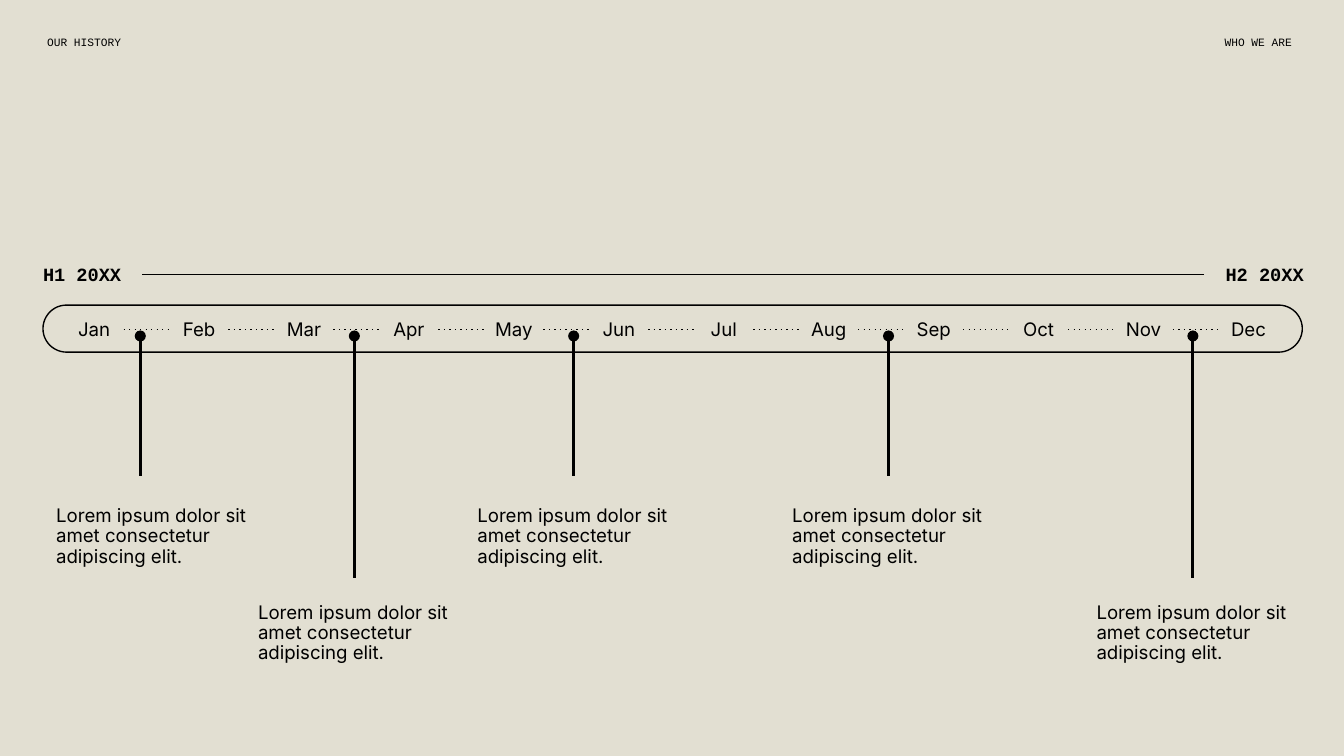
import collections

import pptx
import pptx.dml.color
import pptx.enum.shapes
import pptx.enum.text
import pptx.oxml
import pptx.oxml.ns
import pptx.util

INK = pptx.dml.color.RGBColor(0x00, 0x00, 0x00)
PAPER = pptx.dml.color.RGBColor(0xE2, 0xDF, 0xD2)

ALIGN = pptx.enum.text.PP_ALIGN
ANCHOR = pptx.enum.text.MSO_ANCHOR

MONO = {"name": "Courier New", "size": pptx.util.Pt(6), "bold": False}
HALF_YEAR = {"name": "Courier New", "size": pptx.util.Pt(10), "bold": True}
BODY = {"name": "Inter", "size": pptx.util.Pt(10), "bold": False}

SLIDE_WIDTH = 10
SLIDE_HEIGHT = SLIDE_WIDTH * 9 / 16
MONTHS = "Jan Feb Mar Apr May Jun Jul Aug Sep Oct Nov Dec".split()
BLURB = "Lorem ipsum dolor sit amet consectetur adipiscing elit."
# Each milestone: its place in month columns, and its row (0 upper, 1 lower).
MILESTONES = [(0.94, 0), (2.98, 1), (5.07, 0), (8.07, 0), (10.97, 1)]

Box = collections.namedtuple("Box", "left top width height")


def emu(lengths):
    return [pptx.util.Inches(length) for length in lengths]


def write(holder, text, font, align=ALIGN.LEFT, anchor=ANCHOR.MIDDLE,
          inset=0.1, spacing=1.0):
    """Fill a text holder with one formatted paragraph."""
    frame = holder.text_frame
    margin = pptx.util.Inches(inset)
    frame_format = {
        "word_wrap": True, "auto_size": pptx.enum.text.MSO_AUTO_SIZE.NONE,
        "vertical_anchor": anchor, "margin_left": margin, "margin_right": margin,
        "margin_top": margin, "margin_bottom": margin,
    }
    for key, value in frame_format.items():
        setattr(frame, key, value)
    frame.text = text
    paragraph = frame.paragraphs[0]
    paragraph.alignment = align
    paragraph.line_spacing = spacing
    for key, value in font.items():
        setattr(paragraph.font, key, value)
    paragraph.font.color.rgb = INK


def add_text(shapes, box, text, font, **layout):
    write(shapes.add_textbox(*emu(box)), text, font, **layout)


def add_frame(shapes, box, rounding):
    """Add an unfilled rectangle without an outline."""
    frame = shapes.add_shape(
        pptx.enum.shapes.MSO_SHAPE.ROUNDED_RECTANGLE, *emu(box))
    frame.adjustments[0] = rounding
    frame.shadow.inherit = False
    frame.fill.background()
    frame.line.fill.background()
    return frame


def add_label(shapes, box, text, font, align):
    write(add_frame(shapes, box, 0), text, font, align=align, inset=0.05)


def add_rule(shapes, start, end, weight=0.75, line_end=""):
    """Draw a line; line_end is a dash or arrowhead element for its outline."""
    rule = shapes.add_connector(
        pptx.enum.shapes.MSO_CONNECTOR.STRAIGHT, *emu(start + end))
    rule.line.color.rgb = INK
    rule.line.width = pptx.util.Pt(weight)
    properties = rule._element.spPr
    namespace = pptx.oxml.ns.nsdecls("a")
    if line_end:
        properties.find(pptx.oxml.ns.qn("a:ln")).append(
            pptx.oxml.parse_xml(f"<a:{line_end} {namespace}/>"))
    properties.append(pptx.oxml.parse_xml(f"<a:effectLst {namespace}/>"))


def place_header(slide, box):
    label_width = 0.19 * box.width
    title = slide.shapes.title
    title_box = box._replace(width=label_width)
    for key, length in zip(Box._fields, emu(title_box)):
        setattr(title, key, length)
    write(title, "OUR HISTORY", MONO)
    section = title_box._replace(left=box.left + box.width - label_width)
    add_text(slide.shapes, section, "WHO WE ARE", MONO, align=ALIGN.RIGHT)


def place_half_years(slide, box):
    label_width = box.width / 12
    right = box.left + box.width
    middle = box.top + 0.51 * box.height
    first = box._replace(width=label_width)
    second = first._replace(left=right - label_width)
    add_label(slide.shapes, first, "H1 20XX", HALF_YEAR, ALIGN.LEFT)
    add_rule(slide.shapes, (second.left, middle), (box.left + label_width, middle))
    add_label(slide.shapes, second, "H2 20XX", HALF_YEAR, ALIGN.RIGHT)


def place_months(slide, box):
    """Draw the pill with one column per month and dots between the names."""
    shapes = slide.shapes.add_group_shape().shapes
    pill = add_frame(shapes, box._replace(left=box.left + 0.01), 0.5)
    pill.line.color.rgb = INK
    pill.line.width = pptx.util.Pt(0.75)

    column = box.width / len(MONTHS)
    dots_top = box.top + 0.52 * box.height
    for index, month in enumerate(MONTHS):
        left = box.left + index * column
        name_box = box._replace(left=left + 0.19 * column, width=0.62 * column)
        add_label(shapes, name_box, month, BODY, ALIGN.CENTER)
        if month != MONTHS[-1]:
            add_rule(shapes, (left + 0.78 * column, dots_top),
                     (left + 1.22 * column, dots_top), line_end='prstDash val="dot"')


def place_milestones(slide, box):
    """Hang each stem from the top of the box, with its text below."""
    column = box.width / len(MONTHS)
    blurb_width, blurb_height = 1.63, 0.68
    for place, row in MILESTONES:
        x = box.left + place * column
        stem_end = box.top + (0.405, 0.70)[row] * box.height
        blurb_top = box.top + (0.455, 0.735)[row] * box.height
        blurb_left = max(box.left + 0.01, x - blurb_width / 2)
        add_rule(slide.shapes, (x, stem_end), (x, box.top), weight=1.5,
                 line_end='tailEnd type="oval"')
        add_text(slide.shapes, Box(blurb_left, blurb_top, blurb_width, blurb_height),
                 BLURB, BODY, anchor=ANCHOR.TOP, spacing=0.9)


def main():
    deck = pptx.Presentation()
    deck.slide_width, deck.slide_height = emu((SLIDE_WIDTH, SLIDE_HEIGHT))
    slide = deck.slides.add_slide(deck.slide_layouts.get_by_name("Title Only"))
    slide.background.fill.solid()
    slide.background.fill.fore_color.rgb = PAPER

    place_header(slide, Box(0.25, 0.18, 9.46, 0.26))
    place_half_years(slide, Box(0.27, 1.88, 9.48, 0.32))
    place_months(slide, Box(0.31, 2.27, 9.37, 0.35))
    place_milestones(slide, Box(0.31, 2.50, 9.37, 2.57))
    deck.save("out.pptx")


if __name__ == "__main__":
    main()
